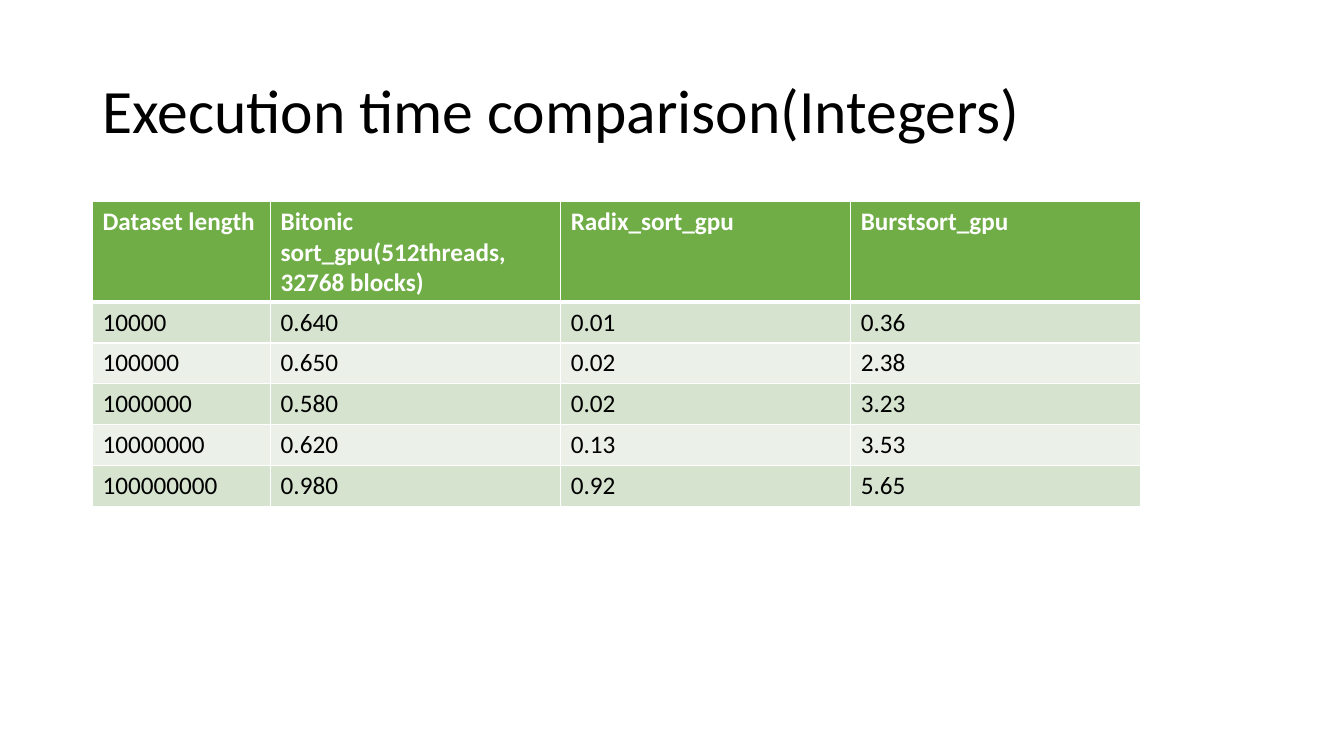
from dataclasses import dataclass

from lxml.etree import SubElement
from pptx import Presentation
from pptx.dml.color import RGBColor
from pptx.enum.text import MSO_ANCHOR as Anchor
from pptx.oxml.ns import qn
from pptx.util import Cm, Pt

FONT = "Calibri"
BLACK, WHITE = "000000", "FFFFFF"


@dataclass(frozen=True)
class RowStyle:
    fill: str
    text: str = BLACK
    bold: bool = False
    height: float = 1.03
    top_line: float = 1
    bottom_line: float = 1


HEADER = RowStyle("70AD47", WHITE, True, height=2.54, bottom_line=3)
FIRST_BAND = RowStyle("D5E3CF", top_line=3)
ODD_BAND = RowStyle("D5E3CF")
EVEN_BAND = RowStyle("EBF1E9")

COLUMN_WIDTHS = [4.49, 7.31, 7.31, 7.31]
HEADINGS = (
    "Dataset length",
    "Bitonic sort_gpu(512threads, 32768 blocks)",
    "Radix_sort_gpu",
    "Burstsort_gpu",
)
TIMINGS = [
    ("10000", "0.640", "0.01", "0.36"),
    ("100000", "0.650", "0.02", "2.38"),
    ("1000000", "0.580", "0.02", "3.23"),
    ("10000000", "0.620", "0.13", "3.53"),
    ("100000000", "0.980", "0.92", "5.65"),
]


def color(code: str) -> RGBColor:
    return RGBColor.from_string(code)


def set_text(para, text: str, size: float, code: str, bold: bool = False) -> None:
    para.text = text
    font = para.font
    font.name, font.size, font.bold = FONT, Pt(size), bold
    font.color.rgb = color(code)


def add_borders(cell, style: RowStyle) -> None:
    properties = cell._tc.get_or_add_tcPr()
    widths = {"lnL": 1, "lnR": 1, "lnT": style.top_line, "lnB": style.bottom_line}
    for side, width in widths.items():
        line = SubElement(properties, qn(f"a:{side}"), w=str(Pt(width)))
        fill = SubElement(line, qn("a:solidFill"))
        SubElement(fill, qn("a:srgbClr"), val=WHITE)


def fill_row(table, index: int, texts: tuple[str, ...], style: RowStyle) -> None:
    table.rows[index].height = Cm(style.height)
    for cell, text in zip(table.rows[index].cells, texts):
        set_text(cell.text_frame.paragraphs[0], text, 18, style.text, style.bold)
        add_borders(cell, style)
        cell.fill.solid()
        cell.fill.fore_color.rgb = color(style.fill)


deck = Presentation()
deck.slide_width, deck.slide_height = Cm(33.87), Cm(19.05)
page = deck.slides.add_slide(deck.slide_layouts[6])

# Title
title = page.shapes.add_textbox(Cm(2.33), Cm(1.01), Cm(29.21), Cm(3.68)).text_frame
title.word_wrap = True
title.vertical_anchor = Anchor.MIDDLE
title.paragraphs[0].line_spacing = 0.9
set_text(title.paragraphs[0], "Execution time comparison(Integers)", 44, BLACK)

# Timing table
styles = [HEADER, FIRST_BAND] + [
    ODD_BAND if number % 2 else EVEN_BAND for number in range(2, len(TIMINGS) + 1)
]
table = page.shapes.add_table(
    len(styles), len(HEADINGS), Cm(2.33), Cm(5.07),
    Cm(sum(COLUMN_WIDTHS)), Cm(sum(style.height for style in styles)),
).table
for column, width in zip(table.columns, COLUMN_WIDTHS):
    column.width = Cm(width)
for index, (texts, style) in enumerate(zip([HEADINGS, *TIMINGS], styles)):
    fill_row(table, index, texts, style)

deck.save("out.pptx")
